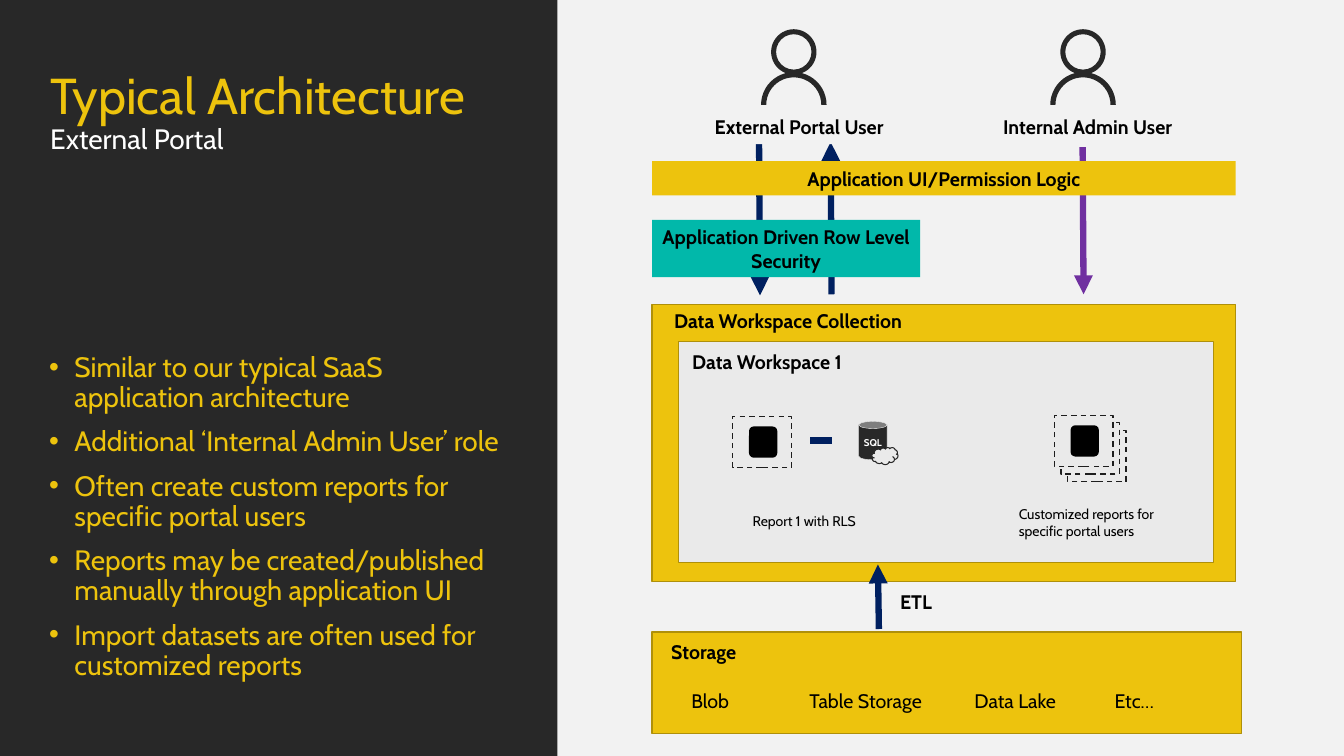
from lxml.etree import SubElement
from pptx import Presentation
from pptx.dml.color import RGBColor
from pptx.enum.dml import MSO_LINE
from pptx.enum.shapes import MSO_CONNECTOR, MSO_SHAPE
from pptx.enum.text import MSO_ANCHOR, PP_ALIGN
from pptx.oxml.ns import qn
from pptx.util import Pt

FONT = "Cabin"
YELLOW, DARK_YELLOW, TEAL = "EDC30D", "AF900A", "01B8AA"
CHARCOAL, LIGHT, PALE, BLACK, WHITE = "282828", "F2F2F2", "EAEAEA", "000000", "FFFFFF"
NAVY, PURPLE = "002060", "7030A0"
color = RGBColor.from_string

presentation = Presentation()
presentation.slide_width, presentation.slide_height = Pt(960), Pt(540)
slide = presentation.slides.add_slide(presentation.slide_layouts[6])
slide.background.fill.solid()
slide.background.fill.fore_color.rgb = color(LIGHT)


def add_shape(kind, frame, fill=None, line=None, width=1):
    shape = slide.shapes.add_shape(kind, *map(Pt, frame))
    shape.shadow.inherit = False
    if fill:
        shape.fill.solid()
        shape.fill.fore_color.rgb = color(fill)
    else:
        shape.fill.background()
    if line:
        shape.line.color.rgb = color(line)
        shape.line.width = Pt(width)
    else:
        shape.line.fill.background()
    return shape


def add_run(paragraph, text, size, fill=BLACK, bold=False):
    run = paragraph.add_run()
    run.text = text
    formats = {"name": FONT, "size": Pt(size), "bold": bold}
    for name, value in formats.items():
        setattr(run.font, name, value)
    run.font.color.rgb = color(fill)


# Left panel
add_shape(MSO_SHAPE.RECTANGLE, (0, 0, 398.2, 540), CHARCOAL)

title = slide.shapes.add_textbox(Pt(28.8), Pt(46.8), Pt(365.8), Pt(68.4))
title.text_frame.word_wrap = True
paragraph = title.text_frame.paragraphs[0]
paragraph.line_spacing = 0.9
add_run(paragraph, "Typical Architecture", 36, YELLOW)
paragraph.add_line_break()
add_run(paragraph, "External Portal", 20, WHITE)

points = [
    "Similar to our typical SaaS application architecture",
    "Additional ‘Internal Admin User’ role",
    "Often create custom reports for specific portal users",
    "Reports may be created/published manually through application UI",
    "Import datasets are often used for customized reports",
]
body = slide.shapes.add_textbox(Pt(28.1), Pt(249.8), Pt(340.6), Pt(244.1))
body_formats = {"word_wrap": True, "vertical_anchor": MSO_ANCHOR.BOTTOM,
                "margin_top": 0, "margin_bottom": Pt(7.2)}
for name, value in body_formats.items():
    setattr(body.text_frame, name, value)
for index, point in enumerate(points):
    paragraph = body.text_frame.add_paragraph() if index else body.text_frame.paragraphs[0]
    properties = paragraph._p.get_or_add_pPr()
    properties.set("marL", str(Pt(18)))
    properties.set("indent", str(-Pt(18)))
    SubElement(properties, qn("a:buFont")).set("typeface", "Arial")
    SubElement(properties, qn("a:buChar")).set("char", "•")
    paragraph.line_spacing = 0.9
    paragraph.space_before = Pt(10 if index else 0)
    add_run(paragraph, point, 20, YELLOW)

# Containers
for frame, fill in [
    ((465.8, 217.4, 416.9, 198), YELLOW),
    ((484.6, 244.1, 382.3, 157.7), PALE),
    ((465.8, 451.4, 421.2, 72.7), YELLOW),
]:
    add_shape(MSO_SHAPE.RECTANGLE, frame, fill, DARK_YELLOW)

# Flows
for start_x, start_y, end_x, end_y, stroke, has_head in [
    (773.3, 105.1, 774, 210.2, PURPLE, True),
    (542.2, 100.8, 542.9, 211, NAVY, True),
    (594, 210.2, 593.3, 101.5, NAVY, True),
    (627.8, 449.3, 627.1, 403.2, NAVY, True),
    (578.9, 314.6, 594, 314.6, NAVY, False),
]:
    flow = slide.shapes.add_connector(
        MSO_CONNECTOR.STRAIGHT, Pt(start_x), Pt(start_y), Pt(end_x), Pt(end_y))
    flow.line.color.rgb = color(stroke)
    flow.line.width = Pt(4.5)
    if has_head:
        SubElement(flow.line._get_or_add_ln(), qn("a:tailEnd")).set("type", "triangle")
    SubElement(flow._element.spPr, qn("a:effectLst"))

# Bars and user labels
for text, frame, fill in [
    ("Application Driven Row Level Security", (465.8, 157, 191.5, 41), TEAL),
    ("Application UI/Permission Logic", (465.8, 115.2, 416.9, 24.5), YELLOW),
    ("External Portal User", (494.6, 78.5, 152.6, 24.5), LIGHT),
    ("Internal Admin User", (700.6, 78.5, 152.6, 24.5), LIGHT),
]:
    bar = add_shape(MSO_SHAPE.RECTANGLE, frame, fill)
    bar.text_frame.word_wrap = True
    paragraph = bar.text_frame.paragraphs[0]
    paragraph.alignment = PP_ALIGN.CENTER
    add_run(paragraph, text, 14, BLACK, True)

# User icons
for left in (543.6, 750.2):
    head = add_shape(MSO_SHAPE.DONUT, (left + 7.2, 20.9, 32.4, 32.4), CHARCOAL)
    head.adjustments[0] = 0.11
    shoulders = add_shape(MSO_SHAPE.BLOCK_ARC, (left, 51.5, 46.8, 46.8), CHARCOAL)
    shoulders.adjustments[2] = 0.08

# Captions
for text, left, top, width, height, size, bold in [
    ("Data Workspace Collection", 474.5, 217.4, 228.2, 24.5, 14, True),
    ("Data Workspace 1", 487.4, 246.2, 213.1, 24.5, 14, True),
    ("Storage", 472.3, 453.6, 228.2, 24.5, 14, True),
    ("ETL", 635.8, 417.6, 64.8, 24.5, 14, True),
    ("Blob", 486.7, 488.2, 64.8, 24.5, 14, False),
    ("Table Storage", 571, 488.2, 100, 24.5, 14, False),
    ("Data Lake", 689, 488.9, 100, 24.5, 14, False),
    ("Etc…", 789.1, 488.9, 100, 24.5, 14, False),
    ("Report 1 with RLS", 530.6, 362.2, 127.4, 19.4, 10, False),
    ("Customized reports for specific portal users", 720.7, 357.8, 136, 31.7, 10, False),
]:
    caption = slide.shapes.add_textbox(Pt(left), Pt(top), Pt(width), Pt(height))
    caption.text_frame.word_wrap = True
    add_run(caption.text_frame.paragraphs[0], text, size, BLACK, bold)

# Report tiles: one single, one stack of three
for left, top, count in [(523.4, 297.4, 1), (753.1, 296.6, 3)]:
    for step in reversed(range(count)):
        frame = (left + 4.7 * step, top + 5.4 * step, 41.8, 36.7)
        tile = add_shape(MSO_SHAPE.RECTANGLE, frame, PALE, "1E1E1E")
        tile.line.dash_style = MSO_LINE.DASH
    add_shape(MSO_SHAPE.ROUNDED_RECTANGLE, (left + 11.6, top + 7.2, 20.2, 22.3), BLACK)

# Cloud database
database = add_shape(MSO_SHAPE.CAN, (613.4, 301, 20.2, 27.4), CHARCOAL, PALE, 0.25)
for side in ("left", "right", "top", "bottom"):
    setattr(database.text_frame, f"margin_{side}", 0)
database.text_frame.word_wrap = False
paragraph = database.text_frame.paragraphs[0]
paragraph.alignment = PP_ALIGN.CENTER
add_run(paragraph, "SQL", 7, WHITE, True)
add_shape(MSO_SHAPE.CLOUD, (622.8, 319.7, 18.7, 12.2), PALE, CHARCOAL, 0.75)

presentation.save("out.pptx")
